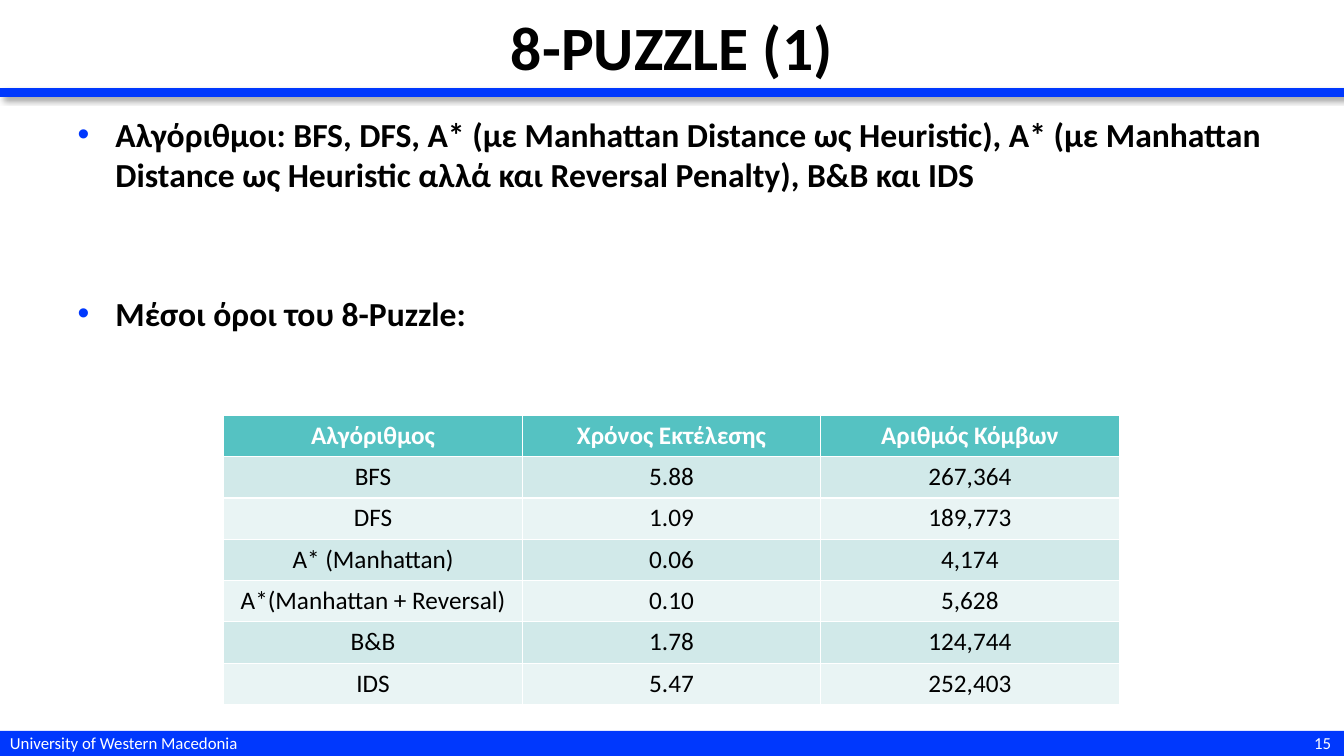
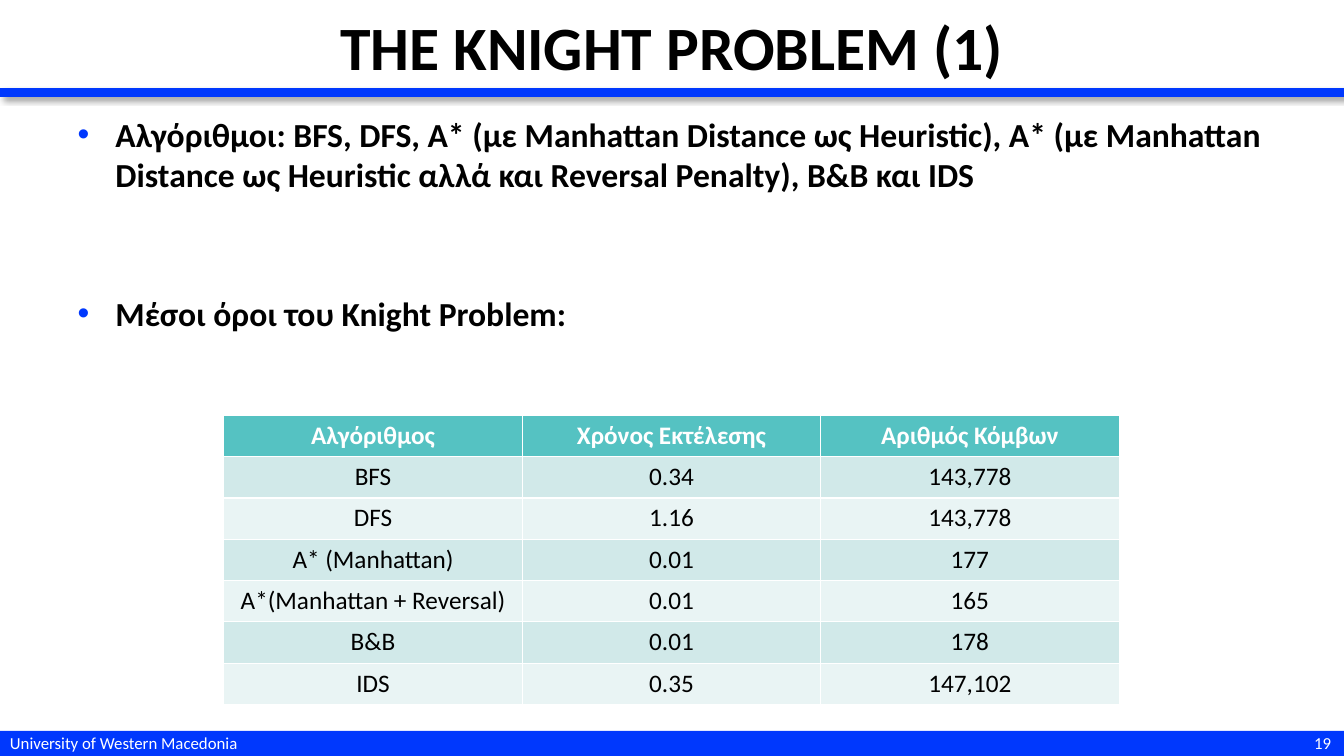
from dataclasses import dataclass

from lxml import etree
from pptx import Presentation
from pptx.dml.color import RGBColor
from pptx.enum import shapes, text
from pptx.oxml import ns
from pptx.util import Inches, Pt

BLUE = "0038FD"
BLACK = "000000"
WHITE = "FFFFFF"
HEADER_FILL = "55C2C2"
BAND_FILLS = ("D1E9E9", "E9F4F4")
FONT = "Calibri"
WIDTH = 13.33
RULE_TOP = 0.92
ROW_HEIGHT = 0.41
COLUMN_WIDTH = 2.96
FOOTER = "University of Western Macedonia"
ALGORITHMS_TEXT = (
    "Αλγόριθμοι: BFS, DFS, A* (με Manhattan Distance ως Heuristic), "
    "A* (με Manhattan Distance ως Heuristic αλλά και Reversal Penalty), B&B και IDS"
)
HEADERS = ("Αλγόριθμος", "Χρόνος Εκτέλεσης", "Αριθμός Κόμβων")
ALGORITHMS = ("BFS", "DFS", "A* (Manhattan)", "A*(Manhattan + Reversal)", "B&B", "IDS")


@dataclass(frozen=True)
class ResultSlide:
    title: str
    number: int
    averages: str
    times: tuple[str, ...]
    nodes: tuple[str, ...]


RESULTS = (
    ResultSlide(
        "8-PUZZLE (1)", 15, "Μέσοι όροι του 8-Puzzle:",
        ("5.88", "1.09", "0.06", "0.10", "1.78", "5.47"),
        ("267,364", "189,773", "4,174", "5,628", "124,744", "252,403"),
    ),
    ResultSlide(
        "THE KNIGHT PROBLEM (1)", 19, "Μέσοι όροι του Knight Problem:",
        ("0.34", "1.16", "0.01", "0.01", "0.01", "0.35"),
        ("143,778", "143,778", "177", "165", "178", "147,102"),
    ),
)


def color(value: str) -> RGBColor:
    return RGBColor.from_string(value)


def place(shape, left: float, top: float, width: float, height: float) -> None:
    shape.left, shape.top = Inches(left), Inches(top)
    shape.width, shape.height = Inches(width), Inches(height)


def write(paragraph, content: str, *, size: float, fill: str = BLACK, bold: bool = False,
          align=text.PP_ALIGN.LEFT, before: float = 0) -> None:
    paragraph.alignment = align
    paragraph.space_before = Pt(before)
    run = paragraph.add_run()
    run.text = content
    run.font.name = FONT
    run.font.size = Pt(size)
    run.font.bold = bold
    run.font.color.rgb = color(fill)


def add_color_element(parent, tag: str, value: str):
    element = etree.SubElement(parent, ns.qn(tag))
    return etree.SubElement(element, ns.qn("a:srgbClr"), val=value)


def add_rule(slide) -> None:
    top = Inches(RULE_TOP)
    rule = slide.shapes.add_connector(
        shapes.MSO_CONNECTOR.STRAIGHT, 0, top, Inches(WIDTH), top)
    rule.line.color.rgb = color(BLUE)
    rule.line.width = Pt(6)
    effects = etree.SubElement(rule.line._get_or_add_ln().getparent(), ns.qn("a:effectLst"))
    shadow_color = add_color_element(effects, "a:outerShdw", BLACK)
    etree.SubElement(shadow_color, ns.qn("a:alpha"), val="40000")
    shadow = shadow_color.getparent()
    shadow.set("blurRad", str(Pt(4)))
    shadow.set("dist", str(Pt(3)))
    shadow.set("dir", str(45 * 60000))
    shadow.set("rotWithShape", "0")


def add_footer_text(slide, content: str, left: float, width: float, align, anchor) -> None:
    box = slide.shapes.add_textbox(Inches(left), Inches(7.22), Inches(width), Inches(0.3))
    box.text_frame.word_wrap = True
    box.text_frame.vertical_anchor = anchor
    write(box.text_frame.paragraphs[0], content, size=12, fill=WHITE, align=align)


def add_frame(slide, number: int) -> None:
    band = slide.shapes.add_shape(
        shapes.MSO_SHAPE.RECTANGLE, 0, Inches(7.25), Inches(WIDTH), Inches(0.25))
    band.shadow.inherit = False
    band.fill.solid()
    band.fill.fore_color.rgb = color(BLUE)
    band.line.fill.background()
    add_rule(slide)
    add_footer_text(slide, str(number), 12.22, 1.08,
                    text.PP_ALIGN.RIGHT, text.MSO_ANCHOR.MIDDLE)
    add_footer_text(slide, FOOTER, 0, 4.11, text.PP_ALIGN.LEFT, text.MSO_ANCHOR.TOP)


def fill_title(slide, title: str) -> None:
    shape = slide.shapes.title
    place(shape, 0, 0, WIDTH, RULE_TOP)
    shape.text_frame.auto_size = text.MSO_AUTO_SIZE.NONE
    shape.text_frame.vertical_anchor = text.MSO_ANCHOR.MIDDLE
    write(shape.text_frame.paragraphs[0], title, size=44, bold=True,
          align=text.PP_ALIGN.CENTER)


def fill_body(slide, averages: str) -> None:
    body = slide.placeholders[1]
    place(body, 0.67, 1.08, 12, 6.08)
    frame = body.text_frame
    frame.auto_size = text.MSO_AUTO_SIZE.NONE
    bullets = (
        (frame.paragraphs[0], ALGORITHMS_TEXT, 5),
        (frame.add_paragraph(), averages, 70),
    )
    for paragraph, content, before in bullets:
        write(paragraph, content, size=24, bold=True, before=before)
        add_color_element(paragraph._p.get_or_add_pPr(), "a:buClr", BLUE)


def add_results_table(slide, result: ResultSlide) -> None:
    rows = [HEADERS, *zip(ALGORITHMS, result.times, result.nodes)]
    table = slide.shapes.add_table(
        len(rows), len(HEADERS), Inches(2.22), Inches(4.12),
        Inches(COLUMN_WIDTH * len(HEADERS)), Inches(ROW_HEIGHT * len(rows))).table
    for row_index, values in enumerate(rows):
        is_header = row_index == 0
        cell_fill = HEADER_FILL if is_header else BAND_FILLS[(row_index - 1) % 2]
        for column_index, value in enumerate(values):
            cell = table.cell(row_index, column_index)
            cell.fill.solid()
            cell.fill.fore_color.rgb = color(cell_fill)
            write(cell.text_frame.paragraphs[0], value, size=18, bold=is_header,
                  fill=WHITE if is_header else BLACK, align=text.PP_ALIGN.CENTER)


def main() -> None:
    presentation = Presentation()
    presentation.slide_width = Inches(WIDTH)
    presentation.slide_height = Inches(7.5)
    for result in RESULTS:
        slide = presentation.slides.add_slide(presentation.slide_layouts[1])
        add_frame(slide, result.number)
        fill_title(slide, result.title)
        fill_body(slide, result.averages)
        add_results_table(slide, result)
    presentation.save("out.pptx")


if __name__ == "__main__":
    main()
